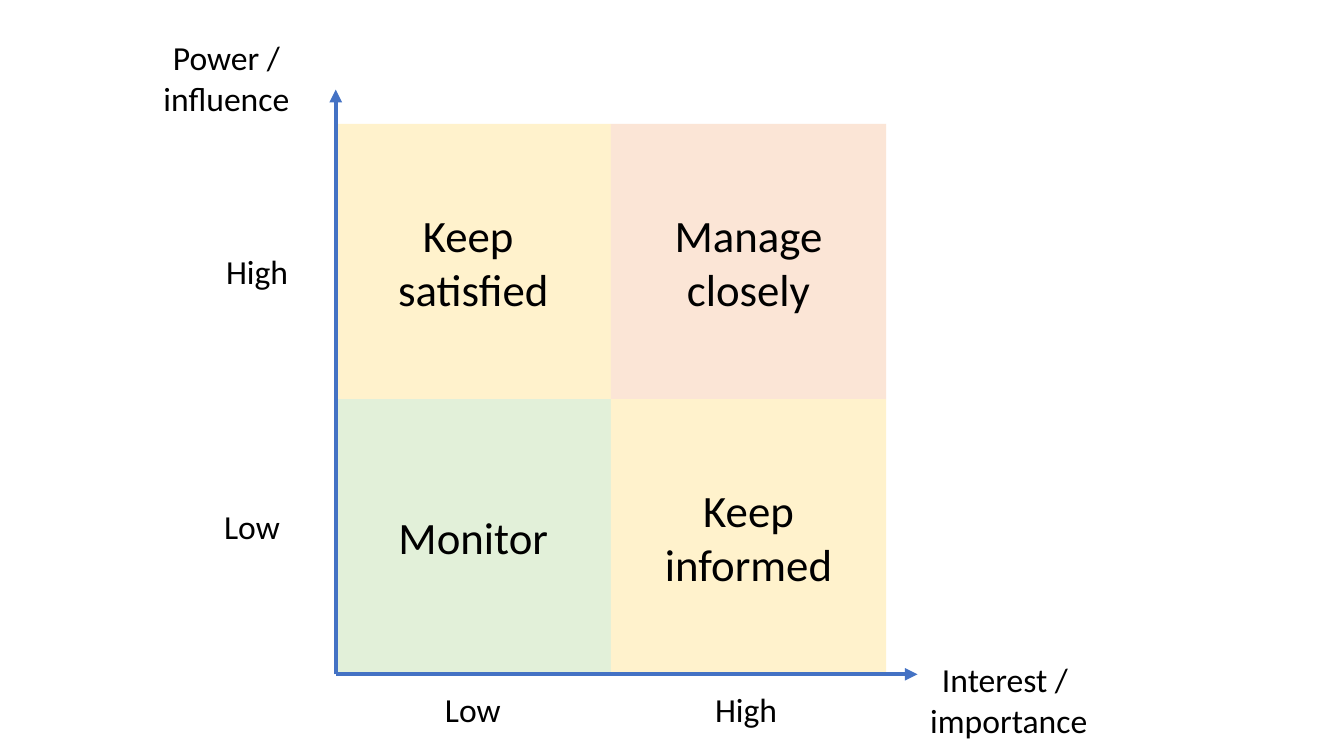
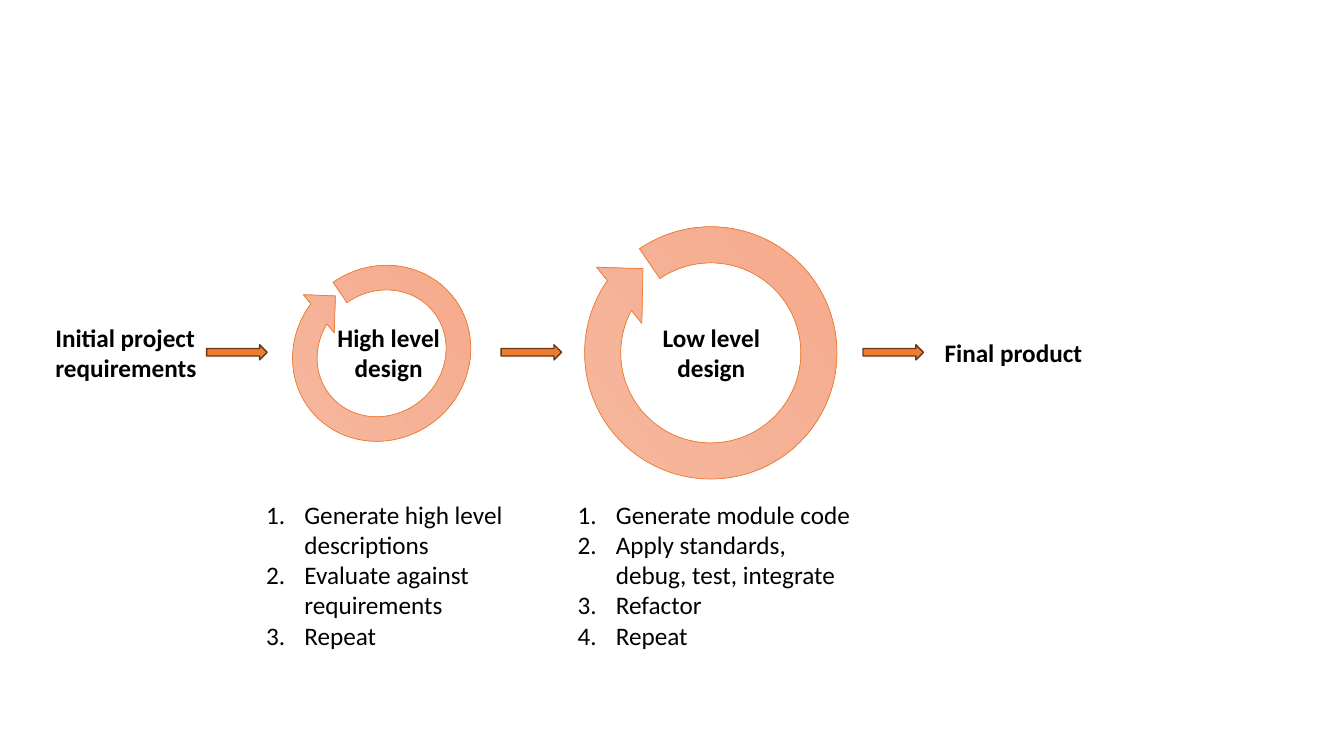
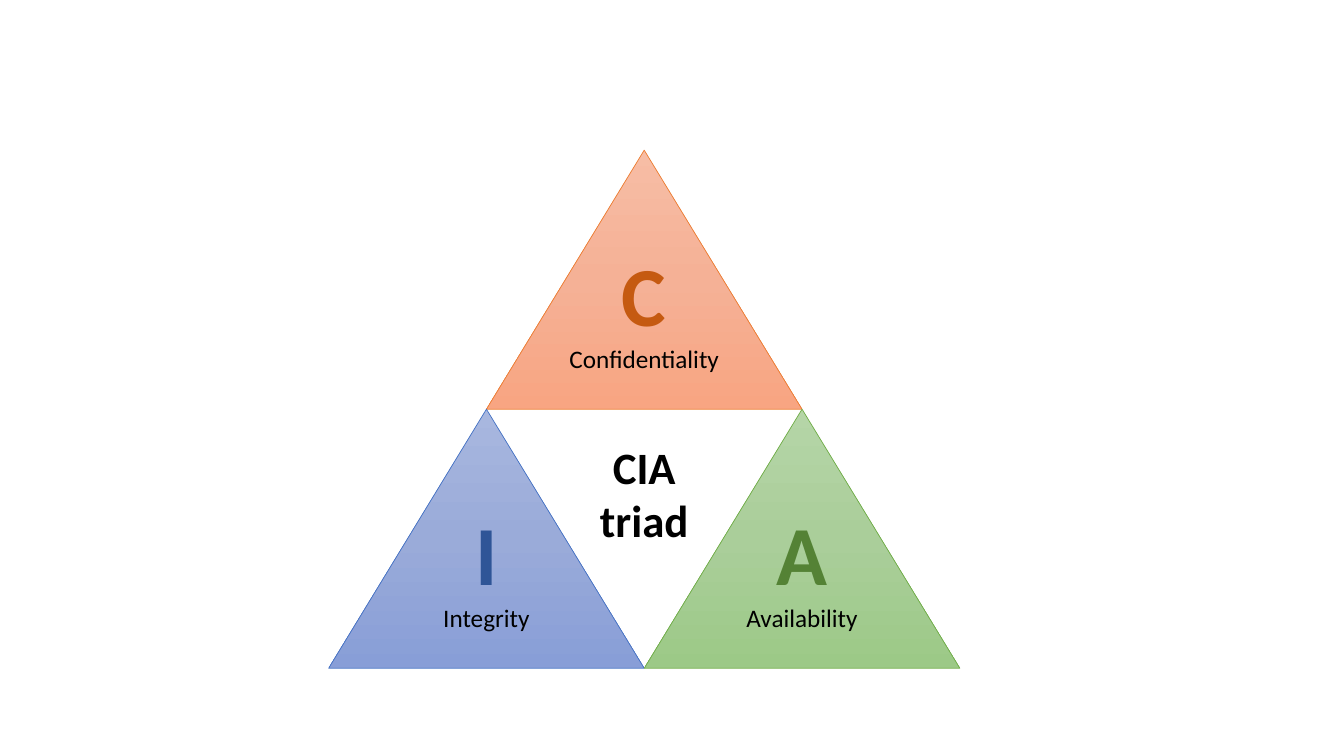
"""Build three concept diagrams: stakeholder matrix, iterative design and CIA triad."""
from copy import deepcopy
from dataclasses import dataclass

from lxml.etree import SubElement
from pptx import Presentation
from pptx.dml.color import RGBColor
from pptx.enum.shapes import MSO_CONNECTOR as Connector, MSO_SHAPE as Shape
from pptx.enum.text import MSO_ANCHOR as Anchor, MSO_AUTO_SIZE as AutoSize, PP_ALIGN as Align
from pptx.oxml.ns import qn
from pptx.util import Inches, Pt


@dataclass(frozen=True)
class Palette:
    """Gradient stops, outline and accent text colour of one hue."""
    stops: tuple
    line: str
    accent: str


@dataclass(frozen=True)
class Theme:
    """Colours, font and type sizes shared by all slides."""
    font: str = "Calibri"
    text: str = "000000"
    body: int = 18
    label: int = 24
    heading: int = 32
    letter: int = 60
    yellow: str = "FFF2CC"
    peach: str = "FBE5D6"
    mint: str = "E2F0D9"
    axis: str = "4472C4"
    arrow: str = "ED7D31"
    arrow_line: str = "683715"
    orange: Palette = Palette(("F7BDA5", "F5B196", "F8A582"), "ED7D31", "C55A11")
    blue: Palette = Palette(("A8B7DF", "9AABD9", "889ED7"), "4472C4", "2F5597")
    green: Palette = Palette(("B5D5A7", "AACE9A", "9CC987"), "70AD47", "548235")


THEME = Theme()


def rgb(value):
    """Turn a hex string into a colour."""
    return RGBColor.from_string(value)


def style_paragraph(paragraph, size, color=THEME.text, bold=False, align=Align.CENTER):
    """Apply alignment and font to one paragraph."""
    paragraph.alignment = align
    for run in paragraph.runs:
        font = run.font
        font.name, font.size, font.bold = THEME.font, Pt(size), bold
        font.color.rgb = rgb(color)


def add_label(slide, text, left, top, width, height, size, bold=False, align=Align.CENTER):
    """Add a wrapping text box and return its text frame."""
    box = slide.shapes.add_textbox(Inches(left), Inches(top), Inches(width), Inches(height))
    frame = box.text_frame
    frame.word_wrap = True
    frame.auto_size = AutoSize.SHAPE_TO_FIT_TEXT
    frame.text = text
    for paragraph in frame.paragraphs:
        style_paragraph(paragraph, size, bold=bold, align=align)
    return frame


def add_numbered_list(slide, items, left, top):
    """Add an automatically numbered list."""
    frame = add_label(slide, "\n".join(items), left, top, 3.02, 1.62, THEME.body, align=Align.LEFT)
    indent = Inches(0.38)
    for paragraph in frame.paragraphs:
        properties = paragraph._p.get_or_add_pPr()
        properties.set("marL", str(indent))
        properties.set("indent", str(-indent))
        SubElement(properties, qn("a:buFont"), typeface="+mj-lt")
        SubElement(properties, qn("a:buAutoNum"), type="arabicPeriod")


def add_figure(slide, kind, left, top, width, height, line=None, line_width=1.0):
    """Add a preset shape without shadow, outlined only if a line colour is given."""
    figure = slide.shapes.add_shape(kind, Inches(left), Inches(top), Inches(width), Inches(height))
    figure.shadow.inherit = False
    if line:
        figure.line.color.rgb = rgb(line)
        figure.line.width = Pt(line_width)
    else:
        figure.line.fill.background()
    return figure


def fill_solid(figure, color):
    """Fill a shape with one colour."""
    figure.fill.solid()
    figure.fill.fore_color.rgb = rgb(color)


def fill_gradient(figure, colors):
    """Fill a shape with an evenly spaced top-to-bottom gradient of three colours."""
    fill = figure.fill
    fill.gradient()
    fill.gradient_angle = 270
    stop_list = figure._element.spPr.find(qn("a:gradFill")).find(qn("a:gsLst"))
    stop_list.insert(1, deepcopy(stop_list[0]))
    for index, (stop, color) in enumerate(zip(fill.gradient_stops, colors)):
        stop.position = index / (len(colors) - 1)
        stop.color.rgb = rgb(color)


def add_axis(slide, start, end):
    """Add an arrow line between two points."""
    axis = slide.shapes.add_connector(Connector.STRAIGHT, *map(Inches, start + end))
    axis.line.color.rgb = rgb(THEME.axis)
    axis.line.width = Pt(3)
    properties = axis._element.spPr
    SubElement(properties.find(qn("a:ln")), qn("a:tailEnd"), type="triangle")
    SubElement(properties, qn("a:effectLst"))


def add_quadrant(slide, text, color, left, top, side):
    """Add one captioned square of the matrix."""
    quadrant = add_figure(slide, Shape.RECTANGLE, left, top, side, side)
    fill_solid(quadrant, color)
    frame = quadrant.text_frame
    frame.text = text
    frame.vertical_anchor = Anchor.MIDDLE
    for paragraph in frame.paragraphs:
        style_paragraph(paragraph, THEME.heading)


def add_cycle(slide, left, top, width, height):
    """Add a ring-shaped iteration arrow."""
    cycle = add_figure(slide, Shape.CIRCULAR_ARROW, left, top, width, height, THEME.orange.line, 0.5)
    for index, value in enumerate((0.125, 11.42, 204.58, 2.65, 0.125)):
        cycle.adjustments[index] = value
    cycle.rotation = 231.2
    fill_gradient(cycle, THEME.orange.stops)


def add_step_arrow(slide, left):
    """Add a block arrow leading to the next stage."""
    arrow = add_figure(slide, Shape.RIGHT_ARROW, left, 3.42, 0.6, 0.15, THEME.arrow_line)
    fill_solid(arrow, THEME.arrow)


def add_triangle(slide, word, palette, left, top, width, height):
    """Add a triangle with the word and its large initial."""
    triangle = add_figure(slide, Shape.ISOSCELES_TRIANGLE, left, top, width, height, palette.line, 0.5)
    fill_gradient(triangle, palette.stops)
    frame = triangle.text_frame
    frame.vertical_anchor = Anchor.BOTTOM
    frame.margin_left = frame.margin_top = frame.margin_right = 0
    frame.margin_bottom = Inches(0.35)
    frame.text = f"{word[0]}\n{word}"
    initial, name = frame.paragraphs
    style_paragraph(initial, THEME.letter, palette.accent, bold=True)
    style_paragraph(name, THEME.body)


def build_stakeholder_matrix(slide):
    """Draw the power and interest matrix."""
    left, top, side = 3.33, 1.23, 2.73
    quadrants = (
        (("Keep \nsatisfied", THEME.yellow), ("Manage closely", THEME.peach)),
        (("Monitor", THEME.mint), ("Keep informed", THEME.yellow)),
    )
    for row, pair in enumerate(quadrants):
        for column, (text, color) in enumerate(pair):
            add_quadrant(slide, text, color, left + column * side, top + row * side, side)
    origin = (left, top + 2 * side)
    for end in ((left, 0.89), (9.1, origin[1])):
        add_axis(slide, origin, end)
    add_label(slide, "Power / influence", 1.49, 0.32, 1.51, 0.91, THEME.label)
    add_label(slide, "Interest / \nimportance", 8.28, 6.49, 3.45, 0.91, THEME.label)
    levels = (("Low", 1.88, 4.97), ("Low", 4.07, 6.79), ("High", 1.93, 2.44), ("High", 6.78, 6.79))
    for level, x, y in levels:
        add_label(slide, level, x, y, 1.24, 0.5, THEME.label)


def build_iterative_design(slide):
    """Draw the two design loops from requirements to product."""
    add_cycle(slide, 2.81, 2.48, 1.95, 2.05)
    add_cycle(slide, 5.62, 2.07, 2.86, 2.86)
    stages = (
        ("Initial project requirements", 0.45, 3.15, 0.71, Align.LEFT),
        ("High level design", 3.03, 3.15, 0.71, Align.CENTER),
        ("Low level design", 6.23, 3.15, 0.71, Align.CENTER),
        ("Final product", 9.27, 3.3, 0.4, Align.LEFT),
    )
    for stage, left, top, height, align in stages:
        add_label(slide, stage, left, top, 1.65, height, THEME.body, bold=True, align=align)
    high_level = ("Generate high level descriptions", "Evaluate against requirements", "Repeat")
    low_level = ("Generate module code", "Apply standards, debug, test, integrate", "Refactor", "Repeat")
    add_numbered_list(slide, high_level, 2.54, 4.9)
    add_numbered_list(slide, low_level, 5.63, 4.9)
    for left in (2.05, 4.97, 8.56):
        add_step_arrow(slide, left)


def build_cia_triad(slide):
    """Draw the three triangles around the triad caption."""
    left, top, width, height = 3.26, 1.49, 3.13, 2.57
    goals = (
        ("Confidentiality", THEME.orange, 0.5, 0),
        ("Integrity", THEME.blue, 0, 1),
        ("Availability", THEME.green, 1, 1),
    )
    for word, palette, column, row in goals:
        add_triangle(slide, word, palette, left + column * width, top + row * height, width, height)
    add_label(slide, "CIA triad", 5.72, 4.31, 1.34, 1.18, THEME.heading, bold=True)


def main():
    """Build and save the presentation."""
    presentation = Presentation()
    presentation.slide_width, presentation.slide_height = Inches(13.33), Inches(7.5)
    blank = presentation.slide_layouts[6]
    for build in (build_stakeholder_matrix, build_iterative_design, build_cia_triad):
        build(presentation.slides.add_slide(blank))
    presentation.save("out.pptx")


if __name__ == "__main__":
    main()
